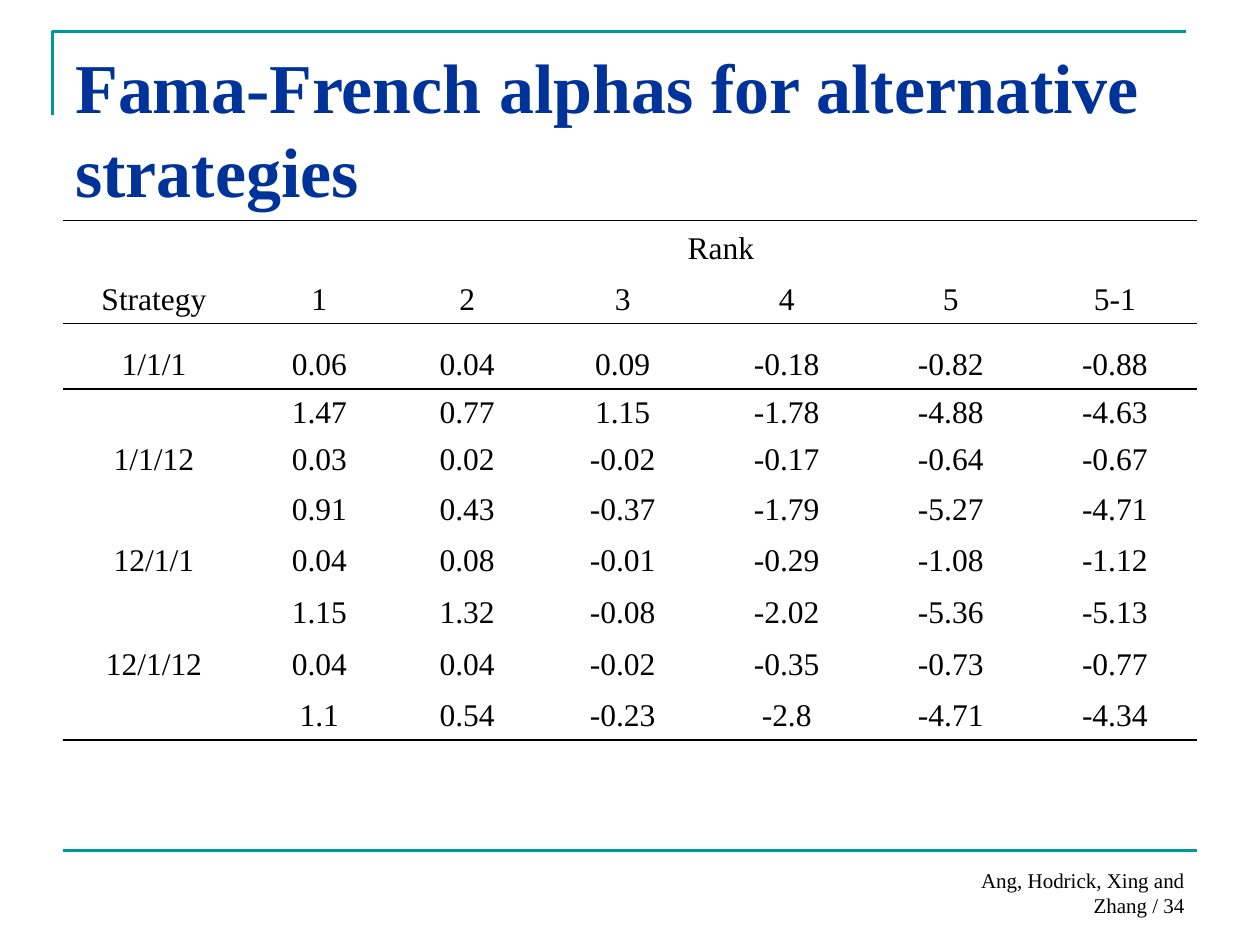
from typing import NamedTuple

from lxml.etree import SubElement
from pptx import Presentation
from pptx.dml.color import RGBColor
from pptx.enum.shapes import MSO_CONNECTOR
from pptx.enum.text import MSO_ANCHOR, PP_ALIGN
from pptx.oxml.ns import qn
from pptx.util import Pt

FONT = "Times New Roman"
TEAL, NAVY, BLACK = "009999", "003399", "000000"
NO_STYLE_NO_GRID = "{2D5ABB26-0587-4C30-8999-92F81FD0307C}"
COLUMN_WIDTHS = [104, 85, 84, 93.75, 93.75, 93.75, 93.75]


class Row(NamedTuple):
    height: float
    cells: list[str]
    rules: tuple[str, ...] = ()
    inset: float = 3.6


ROWS = [
    Row(29.5, ["", "Rank", "", "", "", "", ""], ("lnT",)),
    Row(29.5, ["Strategy", "1", "2", "3", "4", "5", "5-1"], ("lnB",)),
    Row(37.2, ["1/1/1", "0.06", "0.04", "0.09", "-0.18", "-0.82", "-0.88"], ("lnT",)),
    Row(23.8, ["", "1.47", "0.77", "1.15", "-1.78", "-4.88", "-4.63"], inset=0),
    Row(30.2, ["1/1/12", "0.03", "0.02", "-0.02", "-0.17", "-0.64", "-0.67"]),
    Row(27.1, ["", "0.91", "0.43", "-0.37", "-1.79", "-5.27", "-4.71"]),
    Row(27.1, ["12/1/1", "0.04", "0.08", "-0.01", "-0.29", "-1.08", "-1.12"]),
    Row(30, ["", "1.15", "1.32", "-0.08", "-2.02", "-5.36", "-5.13"]),
    Row(29.5, ["12/1/12", "0.04", "0.04", "-0.02", "-0.35", "-0.73", "-0.77"]),
    Row(29.5, ["", "1.1", "0.54", "-0.23", "-2.8", "-4.71", "-4.34"], ("lnB",)),
]


def rgb(color: str) -> RGBColor:
    return RGBColor.from_string(color)


def write(tf, text: str, *, size: float, color: str = BLACK, bold: bool = False,
          align: PP_ALIGN = PP_ALIGN.LEFT) -> None:
    p = tf.paragraphs[0]
    p.alignment = align
    for font in (p.font, p.add_run().font) if text else (p.font,):
        font.name, font.size, font.bold = FONT, Pt(size), bold
        font.color.rgb = rgb(color)
    if text:
        p.runs[0].text = text


def add_text(s, text: str, left: float, top: float, width: float, height: float,
             anchor: MSO_ANCHOR, **style) -> None:
    tf = s.shapes.add_textbox(Pt(left), Pt(top), Pt(width), Pt(height)).text_frame
    tf.word_wrap = True
    tf.vertical_anchor = anchor
    write(tf, text, **style)


def add_frame_lines(s) -> None:
    """Draw the corner bracket above the title and the footer rule."""
    builder = s.shapes.build_freeform(Pt(30), Pt(66), scale=1.0)
    builder.add_line_segments([(Pt(30), Pt(18)), (Pt(678), Pt(18))], close=False)
    bracket = builder.convert_to_shape()
    bracket.shadow.inherit = False
    bracket.fill.background()
    rule = s.shapes.add_connector(MSO_CONNECTOR.STRAIGHT, Pt(36), Pt(486), Pt(684), Pt(486))
    SubElement(rule.element.spPr, qn("a:effectLst"))
    for sp in (bracket, rule):
        sp.line.color.rgb = rgb(TEAL)
        sp.line.width = Pt(1.5)


def add_border(cell, side: str) -> None:
    ln = SubElement(cell._tc.get_or_add_tcPr(), qn(f"a:{side}"), w=str(Pt(1)))
    SubElement(SubElement(ln, qn("a:solidFill")), qn("a:srgbClr"), val=BLACK)


def add_alpha_table(s) -> None:
    frame = s.shapes.add_table(len(ROWS), len(COLUMN_WIDTHS), Pt(36), Pt(126), Pt(648),
                               Pt(sum(row.height for row in ROWS)))
    table = frame.table
    table.first_row = table.horz_banding = False
    table._tbl.tblPr.find(qn("a:tableStyleId")).text = NO_STYLE_NO_GRID
    for column, width in zip(table.columns, COLUMN_WIDTHS):
        column.width = Pt(width)
    for i, row in enumerate(ROWS):
        table.rows[i].height = Pt(row.height)
        for j, text in enumerate(row.cells):
            cell = table.cell(i, j)
            for side in row.rules:
                add_border(cell, side)
            cell.fill.background()
            cell.vertical_anchor = MSO_ANCHOR.BOTTOM
            cell.margin_top = cell.margin_bottom = Pt(row.inset)
            write(cell.text_frame, text, size=18, align=PP_ALIGN.CENTER)
    table.cell(0, 1).merge(table.cell(0, 6))


def main() -> None:
    prs = Presentation()
    prs.slide_width, prs.slide_height = Pt(720), Pt(540)
    s = prs.slides.add_slide(prs.slide_layouts[6])
    add_frame_lines(s)
    add_text(s, "Fama-French alphas for alternative strategies", 36, 21.6, 648, 90,
             MSO_ANCHOR.TOP, size=40, color=NAVY, bold=True)
    add_alpha_table(s)
    add_text(s, "Ang, Hodrick, Xing and Zhang / 34", 516, 492, 168, 36,
             MSO_ANCHOR.BOTTOM, size=12, align=PP_ALIGN.RIGHT)
    prs.save("out.pptx")


if __name__ == "__main__":
    main()
